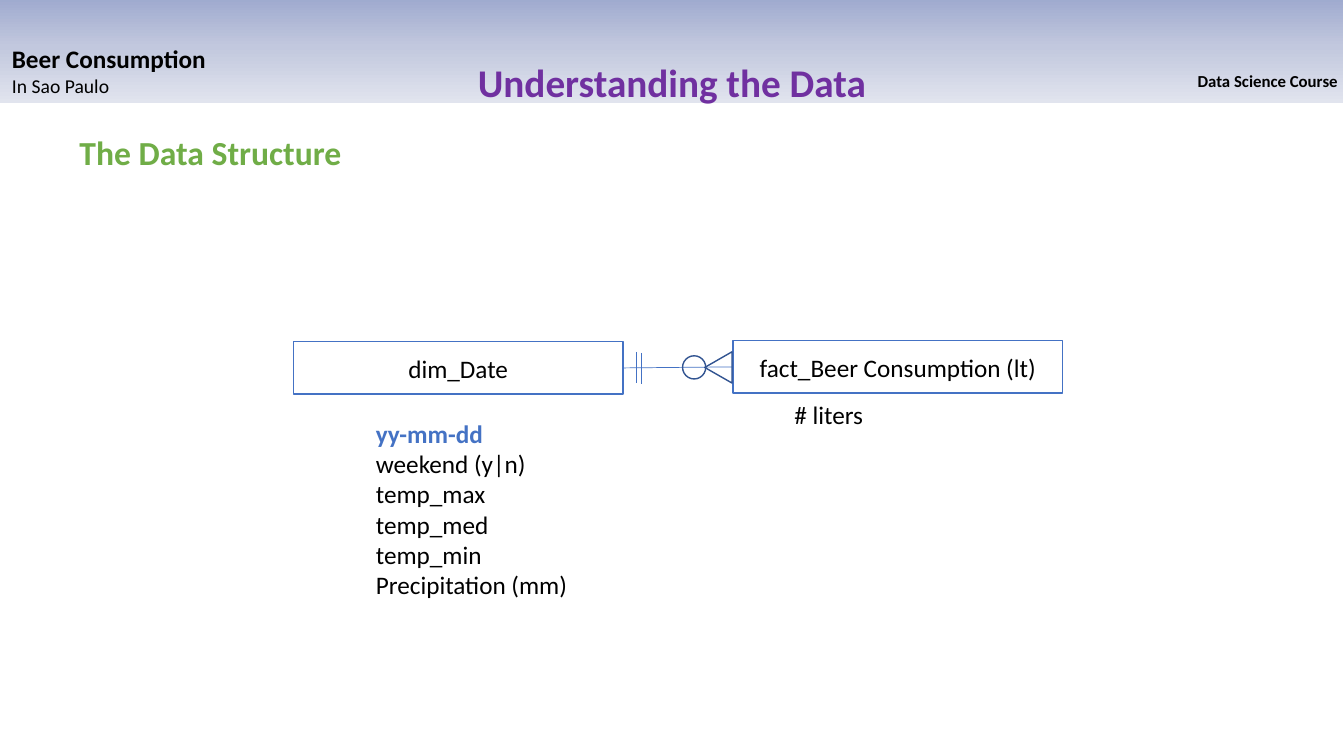
import copy
import pptx
import pptx.util
import pptx.dml.color
import pptx.enum.shapes
import pptx.enum.text
import pptx.oxml

Inches, Pt = pptx.util.Inches, pptx.util.Pt
RGB = pptx.dml.color.RGBColor
Shape = pptx.enum.shapes.MSO_SHAPE
Align = pptx.enum.text.PP_ALIGN
Anchor = pptx.enum.text.MSO_ANCHOR

BLACK = RGB(0x00, 0x00, 0x00)
PURPLE = RGB(0x70, 0x30, 0xA0)
GREEN = RGB(0x70, 0xAD, 0x47)
BLUE = RGB(0x44, 0x72, 0xC4)
NAVY = RGB(0x32, 0x54, 0x91)
BANDS = [RGB(0x99, 0xA5, 0xCC), RGB(0xC2, 0xC8, 0xDE), RGB(0xE1, 0xE4, 0xEE)]
FONT = "Calibri"
WIDE, HIGH = 13.33, 7.5

# Each line of text: words, size, colour, bold
TITLE = [("Understanding the Data", 28, PURPLE, True)]
FIELDS = ["weekend (y|n)", "temp_max", "temp_med", "temp_min", "Precipitation (mm)"]
# Each note: left, top, width, height, wrap, lines
NOTES = [
    (11.78, 0.65, 1.61, 0.3, False, [("Data Science Course", 12, BLACK, True)]),
    (0.02, 0.38, 2.14, 0.64, False, [("Beer Consumption", 18, BLACK, True),
                                     ("In Sao Paulo", 14, BLACK, False)]),
    (0.69, 1.26, 5.17, 0.5, True, [("The Data Structure", 24, GREEN, True)]),
    (3.63, 4.1, 2.12, 1.92, False, [("yy-mm-dd", 18, BLUE, True)]
     + [(field, 18, BLACK, False) for field in FIELDS]),
    (7.78, 3.91, 0.89, 0.4, False, [("# liters", 18, BLACK, False)]),
]
# Each table box: name, left, top
BOXES = [("dim_Date", 2.91, 3.39), ("fact_Beer Consumption (lt)", 7.27, 3.38)]
BOX = (3.27, 0.52)
TICKS = [(6.31, 3.49), (6.36, 3.5)]
TICK = 0.31


def write(frame, lines, align=Align.LEFT):
    for i, (words, size, color, bold) in enumerate(lines):
        para = frame.paragraphs[0] if i == 0 else frame.add_paragraph()
        para.text = words
        para.alignment = align
        font = para.font
        font.name, font.size, font.bold = FONT, Pt(size), bold
        font.color.rgb = color


def draw(kind, area, color):
    """Add an unfilled shape with a thin outline."""
    shape = slide.shapes.add_shape(kind, *map(Inches, area))
    shape.shadow.inherit = False
    shape.fill.background()
    shape.line.color.rgb = color
    shape.line.width = Pt(1)
    return shape


def link(*ends):
    line = slide.shapes.add_connector(
        pptx.enum.shapes.MSO_CONNECTOR.STRAIGHT, *map(Inches, ends))
    line.line.color.rgb = BLUE
    line.line.width = Pt(0.5)
    line._element.spPr.append(pptx.oxml.parse_xml(
        '<a:effectLst xmlns:a="http://schemas.openxmlformats.org/drawingml/2006/main"/>'))
    return line


deck = pptx.Presentation()
deck.slide_width, deck.slide_height = Inches(WIDE), Inches(HIGH)
slide = deck.slides.add_slide(deck.slide_layouts[5])

# Header band, placed behind the title
band = draw(Shape.RECTANGLE, (-0.01, -0.09, WIDE, 1.11), BLUE)
band.line.fill.background()
band.fill.gradient()
band.fill.gradient_angle = 270
first = band.fill.gradient_stops[0]._gs
first.addnext(copy.deepcopy(first))
for i, (stop, color) in enumerate(zip(band.fill.gradient_stops, BANDS)):
    stop.color.rgb = color
    stop.position = i / 2
slide.shapes._spTree.insert(2, band._element)

title = slide.shapes.title
title.left, title.top, title.width, title.height = map(Inches, (4.64, 0.53, 4.09, 0.57))
frame = title.text_frame
frame.word_wrap = False
frame.auto_size = pptx.enum.text.MSO_AUTO_SIZE.NONE
frame.vertical_anchor = Anchor.TOP
write(frame, TITLE)

for *area, wrap, lines in NOTES:
    note = slide.shapes.add_textbox(*map(Inches, area))
    note.text_frame.word_wrap = wrap
    write(note.text_frame, lines)

tables = []
for name, left, top in BOXES:
    table = draw(Shape.RECTANGLE, (left, top, *BOX), BLUE)
    table.text_frame.vertical_anchor = Anchor.MIDDLE
    write(table.text_frame, [(name, 18, BLACK, False)], Align.CENTER)
    tables.append(table)

# One-to-many link with its crow's foot
date, fact = tables
join = link(6.18, 3.65, 7.27, 3.64)
join.begin_connect(date, 3)
join.end_connect(fact, 1)
for x, y in TICKS:
    link(x, y, x, y + TICK)
foot = draw(Shape.ISOSCELES_TRIANGLE, (6.97, 3.51, 0.31, 0.27), NAVY)
foot.rotation = 270
draw(Shape.OVAL, (6.77, 3.53, 0.23, 0.23), NAVY)

deck.save("out.pptx")
